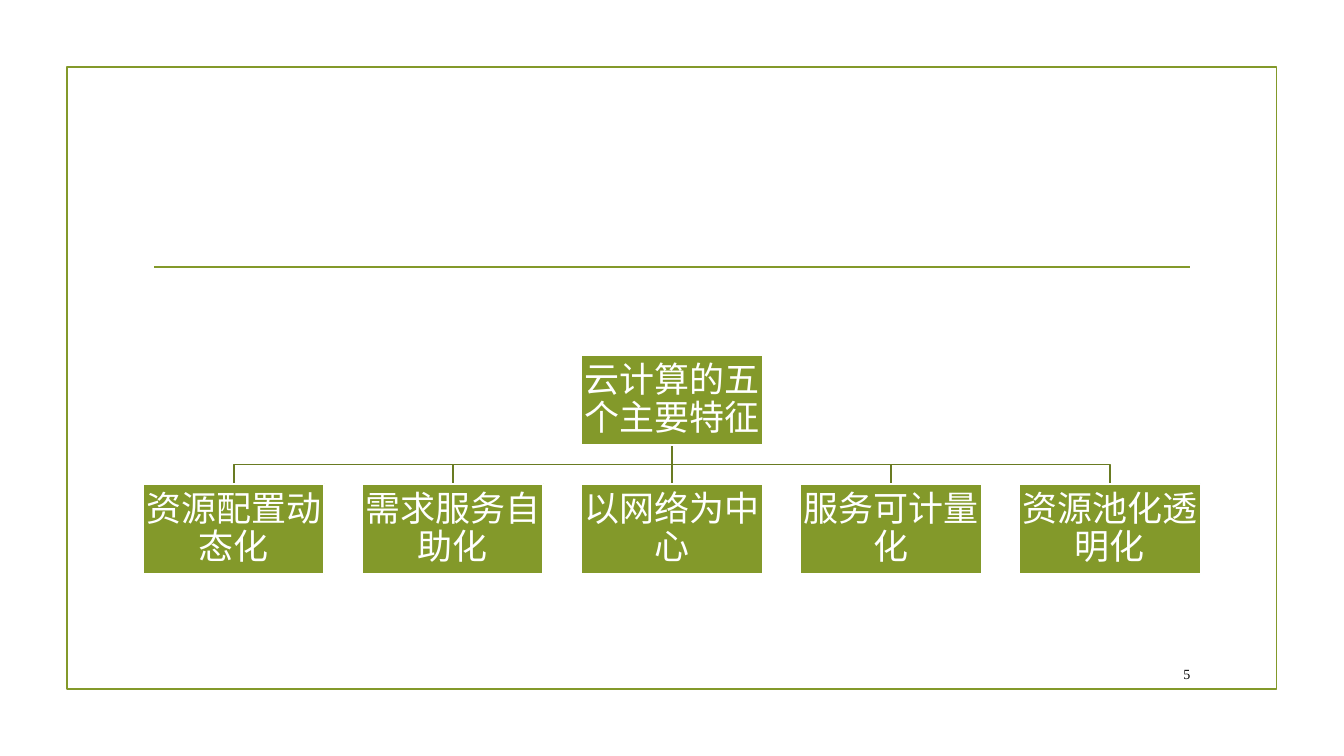
import pptx
import pptx.util
import pptx.dml.color
import pptx.enum.shapes
import pptx.enum.text
import pptx.oxml.ns
import lxml.etree

Cm = pptx.util.Cm
Pt = pptx.util.Pt
RGBColor = pptx.dml.color.RGBColor
Align = pptx.enum.text.PP_ALIGN

GREEN = RGBColor(0x83, 0x99, 0x2A)
OLIVE = RGBColor(0x69, 0x7B, 0x22)
WHITE = RGBColor(0xFF, 0xFF, 0xFF)
BLACK = RGBColor(0, 0, 0)

FONT = "Times New Roman"
ROOT = "云计算的五个主要特征："
TRAITS = ["资源配置动态化", "需求服务自助化", "以网络为中心", "服务可计量化", "资源池化透明化"]
MID = 16.93
STEP = 5.52
WIDE, HIGH = 4.57, 2.28
ROOT_TOP, ROW_TOP = 8.94, 12.19


def write(shape, text, size, color, align, inset=None, spacing=None):
    frame = shape.text_frame
    frame.word_wrap = True
    frame.vertical_anchor = pptx.enum.text.MSO_ANCHOR.MIDDLE
    if inset is not None:
        frame.margin_left = frame.margin_right = Cm(inset)
        frame.margin_top = frame.margin_bottom = Cm(inset)
    para = frame.paragraphs[0]
    para.alignment = align
    para.line_spacing = spacing
    run = para.add_run()
    run.text = text
    run.font.name = FONT
    run.font.size = Pt(size)
    run.font.color.rgb = color


def stroke(shape, color):
    shape.line.color.rgb = color
    shape.line.width = Pt(1.25)


def add_rect(slide, left, top, width, height, line, fill=None):
    kind = pptx.enum.shapes.MSO_SHAPE.RECTANGLE
    rect = slide.shapes.add_shape(kind, Cm(left), Cm(top), Cm(width), Cm(height))
    rect.shadow.inherit = False
    if fill is None:
        rect.fill.background()
    else:
        rect.fill.solid()
        rect.fill.fore_color.rgb = fill
    stroke(rect, line)
    return rect


def add_line(slide, x1, y1, x2, y2, color):
    kind = pptx.enum.shapes.MSO_CONNECTOR.STRAIGHT
    line = slide.shapes.add_connector(kind, Cm(x1), Cm(y1), Cm(x2), Cm(y2))
    stroke(line, color)
    props = line._element.spPr
    lxml.etree.SubElement(props, pptx.oxml.ns.qn("a:effectLst"))


def add_link(slide, end):
    start = ROOT_TOP + HIGH
    if end == MID:
        add_line(slide, MID, start, MID, ROW_TOP, OLIVE)
        return
    bend = (start + ROW_TOP) / 2
    path = slide.shapes.build_freeform(Cm(MID), Cm(start))
    turns = [(MID, bend), (end, bend), (end, ROW_TOP)]
    path.add_line_segments([(Cm(x), Cm(y)) for x, y in turns], close=False)
    link = path.convert_to_shape()
    link.shadow.inherit = False
    link.fill.background()
    stroke(link, OLIVE)


def add_node(slide, text, center, top):
    node = add_rect(slide, center - WIDE / 2, top, WIDE, HIGH, WHITE, GREEN)
    write(node, text, size=25, color=WHITE, align=Align.CENTER, inset=0.04, spacing=0.9)


def main():
    deck = pptx.Presentation()
    deck.slide_width = Cm(33.87)
    deck.slide_height = Cm(19.05)
    slide = deck.slides.add_slide(deck.slide_layouts[6])

    add_rect(slide, 1.69, 1.69, 30.48, 15.67, GREEN)
    add_line(slide, 3.89, 6.73, 30, 6.73, GREEN)

    centers = [MID + STEP * (i - 2) for i in range(len(TRAITS))]
    for center in reversed(centers):
        add_link(slide, center)
    add_node(slide, ROOT, MID, ROOT_TOP)
    for text, center in zip(TRAITS, centers):
        add_node(slide, text, center, ROW_TOP)

    number = slide.shapes.add_textbox(Cm(28.75), Cm(16.59), Cm(1.5), Cm(0.79))
    write(number, "5", size=10, color=BLACK, align=Align.RIGHT)
    deck.save("out.pptx")


if __name__ == "__main__":
    main()
